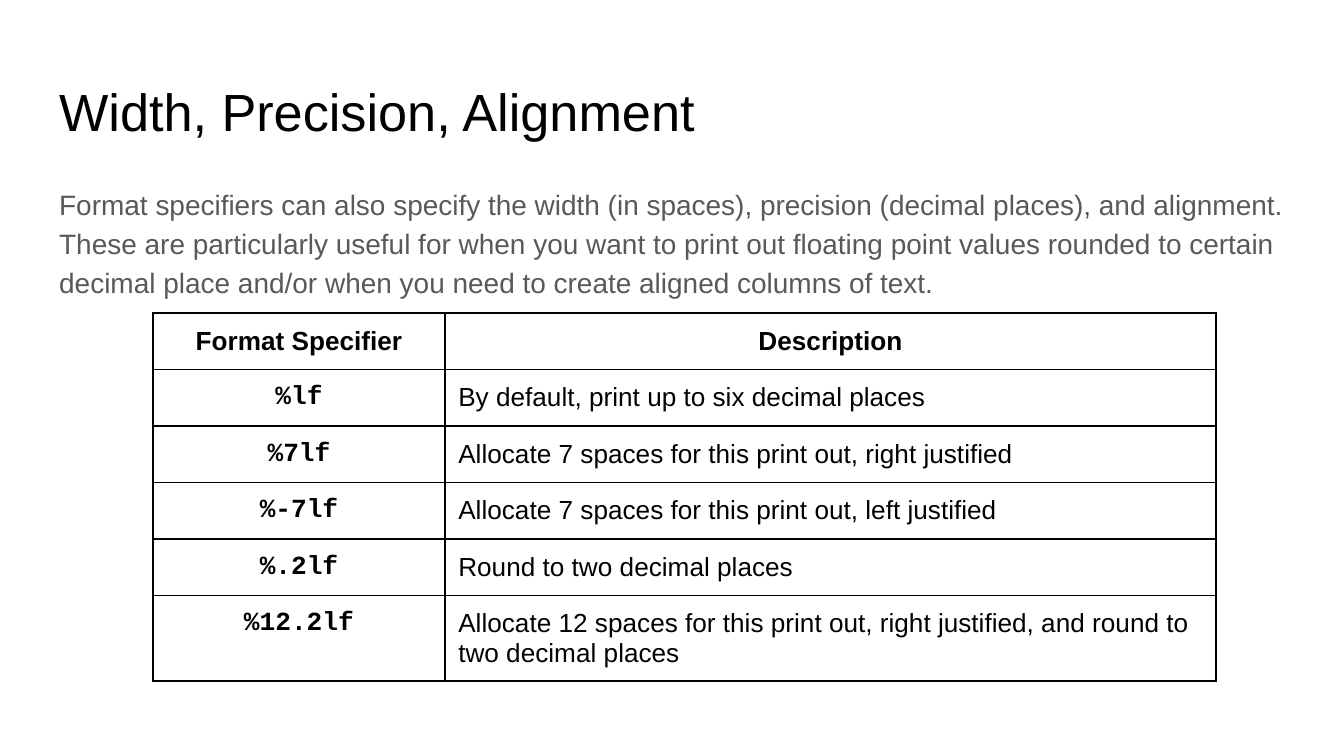
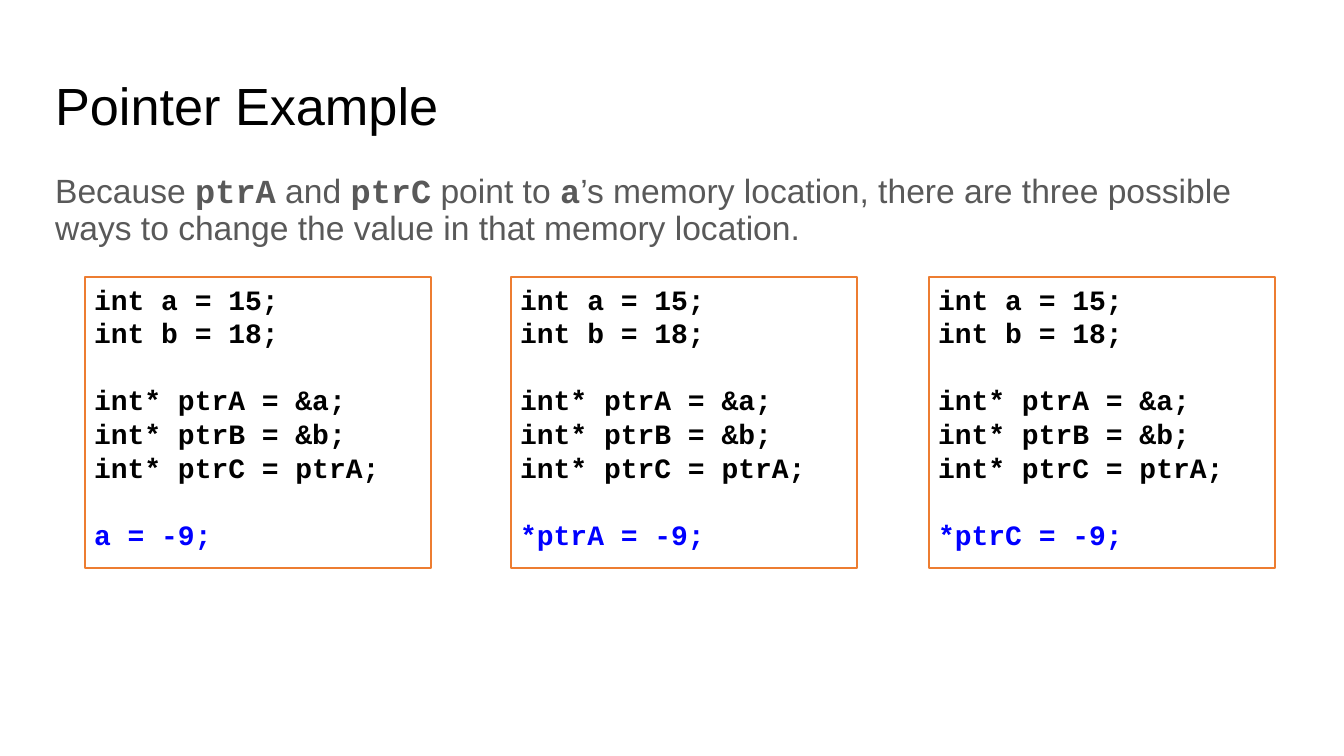
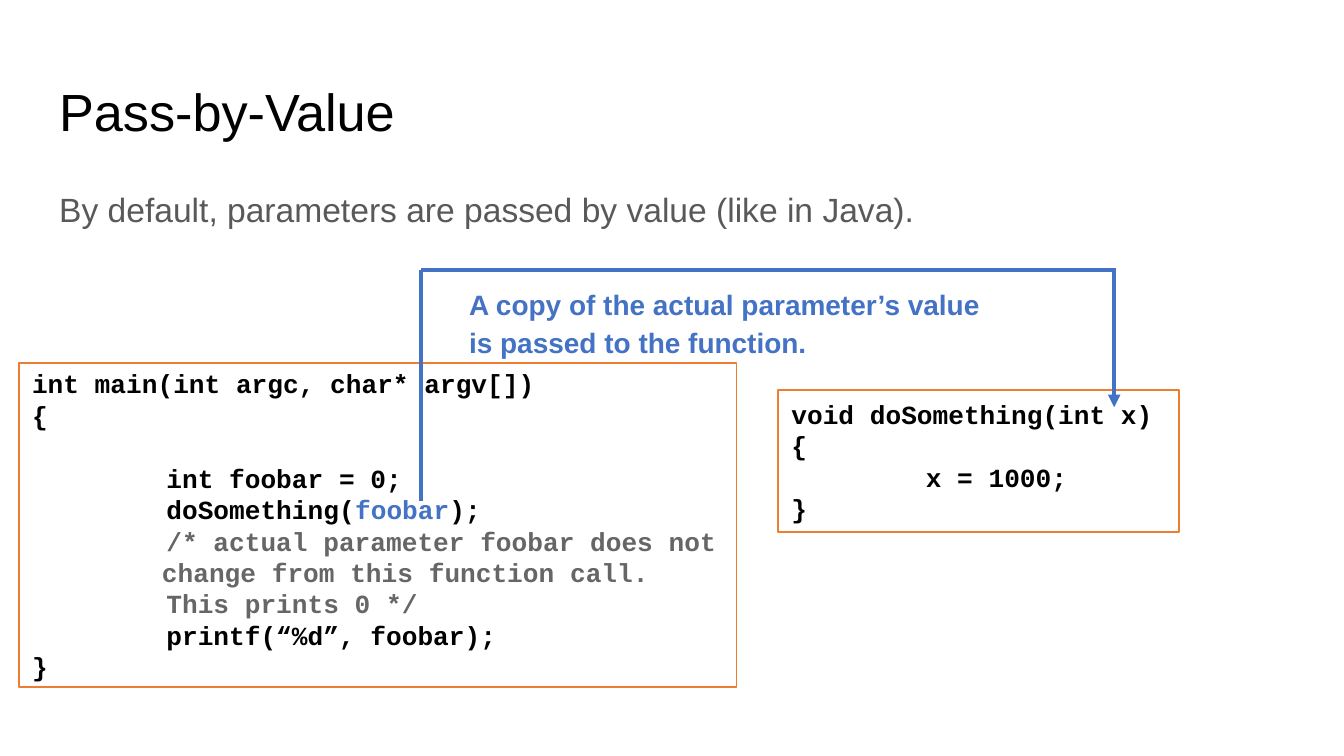
"""Build three slides on C formatting, pointers and pass-by-value."""
import pptx
import pptx.dml.color
import pptx.enum.shapes
import pptx.enum.text
import pptx.oxml.ns
import pptx.util
from lxml import etree

Inches = pptx.util.Inches
Pt = pptx.util.Pt
RGBColor = pptx.dml.color.RGBColor
ALIGN = pptx.enum.text.PP_ALIGN
ANCHOR = pptx.enum.text.MSO_ANCHOR
qn = pptx.oxml.ns.qn

BLACK = RGBColor(0x00, 0x00, 0x00)
WHITE = RGBColor(0xFF, 0xFF, 0xFF)
GRAY = RGBColor(0x59, 0x59, 0x59)
COMMENT = RGBColor(0x66, 0x66, 0x66)
BLUE = RGBColor(0x44, 0x72, 0xC4)
CODE_BLUE = RGBColor(0x00, 0x00, 0xFF)
ORANGE = RGBColor(0xED, 0x7D, 0x31)

SANS = "Arial"
MONO = "Courier New"
WIDE = (0.1, 0.1)
NARROW = (0.07, 0.04)
CODE_INSET = (0.1, 0.05)
TITLE_AT = (0.34, 0.49, 9.32, 0.63)
BODY_AT = (0.34, 1.26, 9.32, 3.74)
ONE_BODY, TWO_BODIES = 1, 3
BLOCK_GAP = 1.2

SPECIFIERS = [
    ("%lf", "By default, print up to six decimal places"),
    ("%7lf", "Allocate 7 spaces for this print out, right justified"),
    ("%-7lf", "Allocate 7 spaces for this print out, left justified"),
    ("%.2lf", "Round to two decimal places"),
    ("%12.2lf", "Allocate 12 spaces for this print out, right justified, "
                "and round to two decimal places"),
]


def place(shape, at):
    """Move and size a shape, in inches."""
    shape.left, shape.top, shape.width, shape.height = map(Inches, at)


def set_frame(tf, inset, anchor=ANCHOR.TOP):
    """Set wrapping, margins and anchor of a text frame."""
    tf.word_wrap = True
    tf.auto_size = pptx.enum.text.MSO_AUTO_SIZE.NONE
    tf.margin_left = tf.margin_right = Inches(inset[0])
    tf.margin_top = tf.margin_bottom = Inches(inset[1])
    tf.vertical_anchor = anchor


def format_run(r, size, color, font=SANS, bold=False):
    """Set the font of one run."""
    r.font.name = font
    r.font.size = Pt(size)
    r.font.color.rgb = color
    r.font.bold = bold


def add_title(s, text, inset=WIDE, anchor=ANCHOR.TOP, spacing=1.0):
    """Fill the title placeholder."""
    place(s.shapes.title, TITLE_AT)
    tf = s.shapes.title.text_frame
    set_frame(tf, inset, anchor)
    tf.text = text
    p = tf.paragraphs[0]
    p.alignment = ALIGN.LEFT
    p.line_spacing = spacing
    format_run(p.runs[0], 28, BLACK)


def add_body(s, pieces, size, index=1, at=BODY_AT, inset=WIDE, spacing=1.15,
             color=GRAY, bold=False):
    """Fill a body placeholder; every second piece is code."""
    body = s.placeholders[index]
    place(body, at)
    set_frame(body.text_frame, inset)
    p = body.text_frame.paragraphs[0]
    pPr = p._p.get_or_add_pPr()
    pPr.set("marL", "0")
    pPr.set("indent", "0")
    etree.SubElement(pPr, qn("a:buNone"))
    p.alignment = ALIGN.LEFT
    p.line_spacing = spacing
    p.space_before = Pt(0)
    p.space_after = Pt(16)
    for i, piece in enumerate(pieces):
        r = p.add_run()
        r.text = piece
        is_code = i % 2 == 1
        format_run(r, size, color, MONO if is_code else SANS, bold or is_code)


def add_tab_stop(p):
    """Put a tab stop one inch from the left."""
    tabs = etree.SubElement(p._p.get_or_add_pPr(), qn("a:tabLst"))
    etree.SubElement(tabs, qn("a:tab"), pos=str(Inches(1)), algn="l")


def add_code(s, at, blocks, size, inset, anchor=ANCHOR.TOP, fill=None):
    """Draw a framed code box; blocks of lines are one line apart."""
    sp = s.shapes.add_shape(pptx.enum.shapes.MSO_SHAPE.RECTANGLE,
                            *map(Inches, at))
    sp.shadow.inherit = False
    if fill is None:
        sp.fill.background()
    else:
        sp.fill.solid()
        sp.fill.fore_color.rgb = fill
    sp.line.color.rgb = ORANGE
    sp.line.width = Pt(1)
    tf = sp.text_frame
    set_frame(tf, inset, anchor)
    p = None
    for block in blocks:
        for i, line in enumerate(block):
            starts_block = p is not None and i == 0
            p = tf.paragraphs[0] if p is None else tf.add_paragraph()
            pieces = [(line, BLACK)] if isinstance(line, str) else line
            if pieces[0][0].startswith("\t"):
                add_tab_stop(p)
            p.alignment = ALIGN.LEFT
            if starts_block:
                p.space_before = Pt(round(size * BLOCK_GAP))
            for text, color in pieces:
                r = p.add_run()
                r.text = text
                format_run(r, size, color, MONO, True)
    return tf


def add_line(s, start, end, arrow=False):
    """Draw a blue line, with an arrowhead at its end if wanted."""
    line = s.shapes.add_connector(pptx.enum.shapes.MSO_CONNECTOR.STRAIGHT,
                                  *map(Inches, start + end))
    line.line.color.rgb = BLUE
    line.line.width = Pt(2.25)
    spPr = line._element.spPr
    if arrow:
        etree.SubElement(spPr.get_or_add_ln(), qn("a:tailEnd"),
                         type="triangle")
    etree.SubElement(spPr, qn("a:effectLst"))


def format_cell(cell, text, font=SANS, bold=False, centered=True):
    """Write a table cell with black borders and no fill."""
    tcPr = cell._tc.get_or_add_tcPr()
    for side in ("lnL", "lnR", "lnT", "lnB"):
        ln = etree.SubElement(tcPr, qn("a:" + side), w=str(Pt(1)))
        fill = etree.SubElement(ln, qn("a:solidFill"))
        etree.SubElement(fill, qn("a:srgbClr"), val=str(BLACK))
    cell.fill.background()
    cell.margin_left = cell.margin_right = Inches(0.1)
    cell.margin_top = cell.margin_bottom = Inches(0.1)
    cell.text_frame.text = text
    p = cell.text_frame.paragraphs[0]
    p.alignment = ALIGN.CENTER if centered else ALIGN.LEFT
    format_run(p.runs[0], 14, BLACK, font, bold)


def add_specifier_table(s):
    """Add the table of format specifiers."""
    rows = len(SPECIFIERS) + 1
    table = s.shapes.add_table(rows, 2, Inches(1.14), Inches(2.33),
                               Inches(7.91), Inches(0.42 * rows)).table
    table.first_row = table.horz_banding = False
    table.columns[0].width = Inches(2.17)
    table.columns[1].width = Inches(5.74)
    for row in table.rows:
        row.height = Inches(0.42)
    for col, heading in enumerate(("Format Specifier", "Description")):
        format_cell(table.cell(0, col), heading, bold=True)
    for row, (specifier, description) in enumerate(SPECIFIERS, 1):
        format_cell(table.cell(row, 0), specifier, MONO, True)
        format_cell(table.cell(row, 1), description, centered=False)


def add_slide(prs, layout):
    """Add a slide with the given layout number."""
    return prs.slides.add_slide(prs.slide_layouts[layout])


def build_format_slide(prs):
    """Slide on width, precision and alignment."""
    s = add_slide(prs, ONE_BODY)
    add_title(s, "Width, Precision, Alignment")
    add_body(s, ["Format specifiers can also specify the width (in spaces), "
                 "precision (decimal places), and alignment. These are "
                 "particularly useful for when you want to print out floating "
                 "point values rounded to certain decimal place and/or when "
                 "you need to create aligned columns of text."], 15)
    add_specifier_table(s)


def build_pointer_slide(prs):
    """Slide with three ways to change a value."""
    s = add_slide(prs, ONE_BODY)
    add_title(s, "Pointer Example", NARROW, ANCHOR.MIDDLE, 0.9)
    add_body(s, ["Because ", "ptrA", " and ", "ptrC", " point to ", "a",
                 "’s memory location, there are three possible ways to change "
                 "the value in that memory location."],
             18, inset=NARROW, spacing=0.9)
    for left, target in ((0.63, "a"), (3.8, "*ptrA"), (6.91, "*ptrC")):
        blocks = [
            ["int a = 15;", "int b = 18;"],
            ["int* ptrA = &a;", "int* ptrB = &b;", "int* ptrC = ptrA;"],
            [[(target + " = -9;", CODE_BLUE)]],
        ]
        add_code(s, (left, 2.06, 2.58, 2.17), blocks, 15, NARROW, fill=WHITE)


def build_value_slide(prs):
    """Slide on passing parameters by value."""
    s = add_slide(prs, TWO_BODIES)
    add_title(s, "Pass-by-Value")
    add_body(s, ["By default, parameters are passed by value (like in Java)."],
             18)
    add_code(s, (5.79, 2.9, 2.98, 1.06),
             [["void doSomething(int x)", "{", "\tx = 1000;", "}"]],
             14, CODE_INSET, ANCHOR.MIDDLE)
    main_blocks = [
        ["int main(int argc, char* argv[])", "{"],
        ["\tint foobar = 0;",
         [("\tdoSomething(", BLACK), ("foobar", BLUE), (");", BLACK)],
         [("\t/* actual parameter foobar does not", COMMENT)],
         [("    change from this function call.", COMMENT)],
         [("\tThis prints 0 */", COMMENT)],
         "\tprintf(“%d”, foobar);",
         "}"],
    ]
    tf = add_code(s, (0.14, 2.7, 5.34, 2.41), main_blocks, 14, CODE_INSET,
                  ANCHOR.MIDDLE)
    for p in tf.paragraphs[5:7]:
        pPr = p._p.get_or_add_pPr()
        pPr.set("marL", "0")
        pPr.set("indent", str(Inches(0.5)))
    add_line(s, (8.29, 2.02), (8.29, 3.03), arrow=True)
    add_line(s, (8.3, 2.01), (3.13, 2.01))
    add_line(s, (3.13, 3.73), (3.13, 2.01))
    add_body(s, ["A copy of the actual parameter’s value is passed to the "
                 "function."], 15, index=2, at=(3.39, 2, 4.06, 0.81),
             color=BLUE, bold=True)


def main():
    """Build and save the deck."""
    prs = pptx.Presentation()
    prs.slide_width = Inches(10)
    prs.slide_height = prs.slide_width * 9 // 16
    build_format_slide(prs)
    build_pointer_slide(prs)
    build_value_slide(prs)
    prs.save("out.pptx")


if __name__ == "__main__":
    main()
